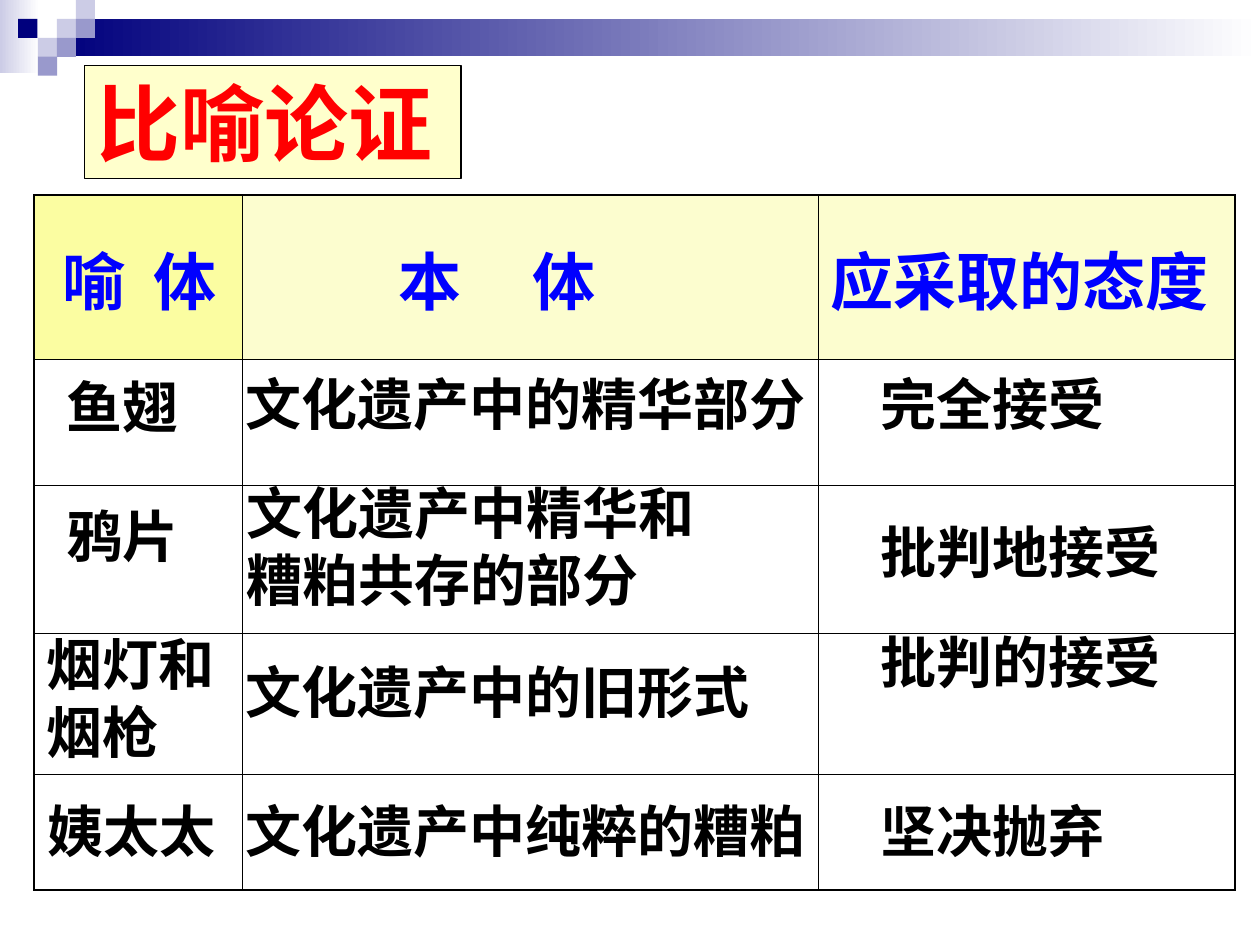
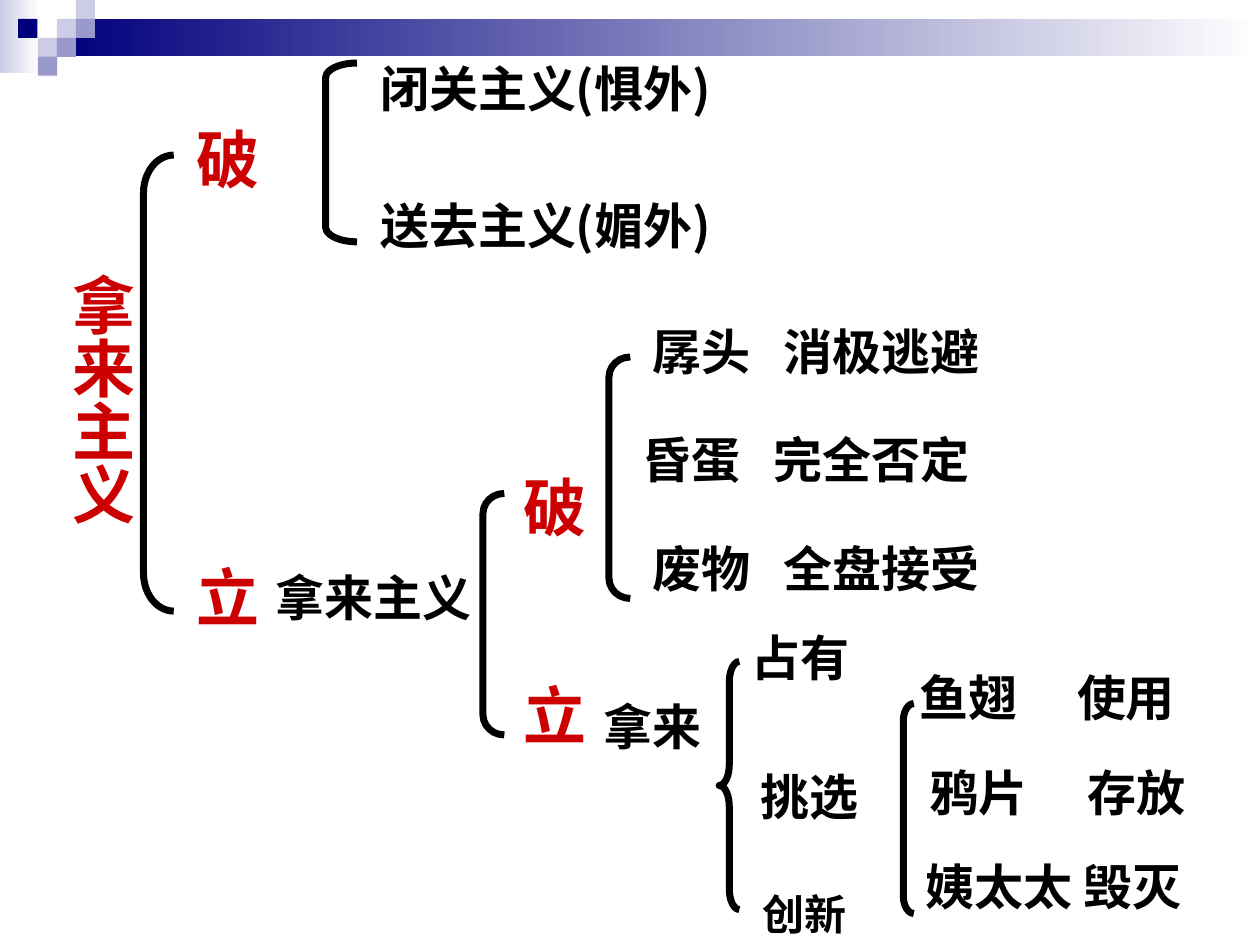
from dataclasses import dataclass

from lxml.etree import SubElement
from pptx import Presentation
from pptx.dml.color import RGBColor as Rgb
from pptx.enum.shapes import MSO_SHAPE as Shape
from pptx.enum.text import MSO_ANCHOR as Anchor
from pptx.enum.text import MSO_AUTO_SIZE as AutoSize
from pptx.enum.text import PP_ALIGN as Align
from pptx.oxml.ns import qn
from pptx.util import Pt


@dataclass(frozen=True)
class Theme:
    navy: str = "00007D"
    violet: str = "9999CC"
    lilac: str = "CCCCE6"
    white: str = "FFFFFF"
    black: str = "000000"
    red: str = "FF0000"
    crimson: str = "CC0000"
    blue: str = "0000FF"
    cream: str = "FFFFCC"
    yellow: str = "FBFDA1"
    title: int = 48
    heading: int = 36
    entry: int = 32
    branch: int = 28
    small: int = 24
    sans: str = "Arial"
    accent: str = "Karla"
    serif: str = "Times New Roman"
    chinese: str = "Noto Sans CJK SC"
    thin: float = 0.45
    thick: float = 1.08
    bracket: float = 4


theme = Theme()


def write(frame, text, size, color, face, tab=None):
    for index, line in enumerate(text.split("\n")):
        para = frame.add_paragraph() if index else frame.paragraphs[0]
        para.alignment = Align.LEFT
        if index:
            para.line_spacing = Pt(size * 1.2)
        if tab:
            tab_list = SubElement(para._p.get_or_add_pPr(), qn("a:tabLst"))
            SubElement(tab_list, qn("a:tab"), pos=str(Pt(tab)), algn="l")
        span = para.add_run()
        span.text = line
        span.font.size = Pt(size)
        span.font.bold = True
        span.font.name = face
        span.font.color.rgb = Rgb.from_string(color)
        SubElement(span.font._element, qn("a:ea"), typeface=theme.chinese)


def add_label(slide, place, text, size, color, face, tab=None):
    box = slide.shapes.add_textbox(*map(Pt, place))
    box.text_frame.word_wrap = True
    write(box.text_frame, text, size, color, face, tab)


deck = Presentation()
deck.slide_width, deck.slide_height = Pt(720), Pt(540)
layout = deck.slide_layouts[5]
metaphor_page = deck.slides.add_slide(layout)
outline_page = deck.slides.add_slide(layout)

bands = [
    (0, 0, 22.5, 42, theme.lilac, True),
    (32.5, 10.8, 687.5, 21.5, theme.navy, True),
]
squares = [
    (32.5, 10.8, theme.lilac),
    (43.3, 0, theme.lilac),
    (43.3, 10.8, theme.violet),
    (21.7, 21.6, theme.lilac),
    (10.4, 10.8, theme.navy),
    (32.5, 21.6, theme.violet),
    (21.7, 32.4, theme.violet),
]
bands += [(left, top, 10.9, 10.9, color, False) for left, top, color in squares]
for number, (left, top, width, height, color, fades) in enumerate(bands):
    band = metaphor_page.shapes.add_shape(Shape.RECTANGLE, Pt(left), Pt(top), Pt(width), Pt(height))
    band.shadow.inherit = False
    band.line.fill.background()
    if fades:
        band.fill.gradient()
        band.fill.gradient_angle = 0
        for stop, shade in zip(band.fill.gradient_stops, (color, theme.white)):
            stop.color.rgb = Rgb.from_string(shade)
    else:
        band.fill.solid()
        band.fill.fore_color.rgb = Rgb.from_string(color)
    band.element.nvSpPr.cNvPr.set("id", str(100 + number))
    layout.shapes.element.append(band.element)

titles = [
    (metaphor_page, (48.2, 37.4, 215.3, 64.8), "比喻论证", theme.title, theme.red, theme.sans),
    (outline_page, (26, 145.4, 57.6, 166.3), "拿来主义", theme.heading, theme.crimson, theme.accent),
]
for page, place, text, size, color, face in titles:
    title = page.shapes.title
    title.left, title.top, title.width, title.height = map(Pt, place)
    title.text_frame.auto_size = AutoSize.NONE
    title.text_frame.vertical_anchor = Anchor.TOP
    write(title.text_frame, text, size, color, face)

title_box = metaphor_page.shapes.title
title_box.fill.solid()
title_box.fill.fore_color.rgb = Rgb.from_string(theme.cream)
title_box.line.color.rgb = Rgb.from_string(theme.black)
title_box.line.width = Pt(0.75)

vertical_frame = outline_page.shapes.title.text_frame
vertical_frame._txBody.bodyPr.set("vert", "eaVert")
vertical_frame.margin_left = vertical_frame.margin_right = Pt(3.6)
vertical_frame.margin_top, vertical_frame.margin_bottom = Pt(11.2), Pt(3.6)

column_widths = [119, 329, 238.3]
row_heights = [94, 71.6, 84.5, 80.7, 66.2]
headers = [("喻\t体", 16, 52), ("本\t体", 89, 77), ("应采取的态度", 7.2, None)]
table = metaphor_page.shapes.add_table(
    len(row_heights), len(column_widths), Pt(19.6), Pt(111.6),
    Pt(sum(column_widths)), Pt(sum(row_heights))).table
table.first_row = table.horz_banding = False
for column, width in zip(table.columns, column_widths):
    column.width = Pt(width)
for row, height in zip(table.rows, row_heights):
    row.height = Pt(height)

last_row, last_column = len(row_heights) - 1, len(column_widths) - 1
for row_index in range(last_row + 1):
    for column_index in range(last_column + 1):
        cell = table.cell(row_index, column_index)
        edges = {
            "a:lnL": column_index == 0,
            "a:lnR": column_index == last_column,
            "a:lnT": row_index == 0,
            "a:lnB": row_index == last_row,
        }
        for tag, outer in edges.items():
            weight = theme.thick if outer else theme.thin
            border = SubElement(cell._tc.get_or_add_tcPr(), qn(tag), w=str(Pt(weight)))
            paint = SubElement(border, qn("a:solidFill"))
            SubElement(paint, qn("a:srgbClr"), val=theme.black)
        if row_index:
            cell.fill.background()
            continue
        cell.fill.solid()
        cell.fill.fore_color.rgb = Rgb.from_string(theme.yellow)
        if column_index:
            tint = cell._tc.tcPr.find(qn("a:solidFill")).find(qn("a:srgbClr"))
            SubElement(tint, qn("a:alpha"), val="50000")
        text, margin, tab = headers[column_index]
        cell.vertical_anchor = Anchor.MIDDLE
        cell.margin_left = Pt(margin)
        write(cell.text_frame, text, theme.heading, theme.blue, theme.sans, tab)

entries = [
    (133.2, 207.4, 351, "文化遗产中的精华部分"),
    (133.6, 270, 290, "文化遗产中精华和\n糟粕共存的部分"),
    (133.2, 372.2, 329, "文化遗产中的旧形式"),
    (133.2, 451.4, 363, "文化遗产中纯粹的糟粕"),
    (496, 207.4, 164, "完全接受"),
    (496, 292.3, 187, "批判地接受"),
    (496, 355, 199, "批判的接受"),
    (496, 451.4, 176, "坚决抛弃"),
    (31, 209.5, 113, "鱼翅"),
    (31, 283, 113, "鸦片"),
    (19.5, 356.4, 176, "烟灯和\n烟枪"),
    (20.2, 451.4, 115, "姨太太"),
]
for left, top, width, text in entries:
    height = 84.2 if "\n" in text else 46
    add_label(metaphor_page, (left, top, width, height), text, theme.entry, theme.black, theme.sans)

brackets = [
    (Shape.LEFT_BRACKET, 82, 88.6, 17.3, 260.6),
    (Shape.LEFT_BRACKET, 186, 36, 18, 102.2),
    (Shape.LEFT_BRACKET, 276, 282, 12.2, 138),
    (Shape.LEFT_BRACKET, 348, 204, 12.2, 138),
    (Shape.LEFT_BRACKET, 516.2, 402, 6, 120),
    (Shape.LEFT_BRACE, 411, 378, 11.5, 141.8),
]
for kind, left, top, width, height in brackets:
    bracket = outline_page.shapes.add_shape(kind, Pt(left), Pt(top), Pt(width), Pt(height))
    bracket.adjustments[0] = height / 12 / width
    bracket.shadow.inherit = False
    bracket.fill.background()
    bracket.line.color.rgb = Rgb.from_string(theme.black)
    bracket.line.width = Pt(theme.bracket)

stances = [(105, 65.5, "破"), (105, 315.4, "立"), (292.3, 264.2, "破"), (292.3, 383, "立")]
for left, top, text in stances:
    add_label(outline_page, (left, top, 66, 50.4), text, theme.heading, theme.crimson, theme.accent)

branches = [
    (210.2, 30.2, 234, "闭关主义(惧外)", theme.chinese, None),
    (210.2, 108, 240, "送去主义(媚外)", theme.chinese, None),
    (150.5, 321, 138, "拿来主义", theme.serif, None),
    (365.8, 180, 228, "孱头\t消极逃避", theme.chinese, 75),
    (360, 242, 228, "昏蛋\t完全否定", theme.chinese, 75),
    (365.8, 304, 228, "废物\t全盘接受", theme.chinese, 75),
    (337.7, 394.6, 90, "拿来", theme.serif, None),
    (422.6, 355, 86, "占有", theme.serif, None),
    (427.7, 434.2, 98, "挑选", theme.serif, None),
    (518.4, 378, 177, "鱼翅\t使用", theme.chinese, 90),
    (524.2, 432, 195.8, "鸦片\t存放", theme.chinese, 90),
    (522, 486, 198, "姨太太 毁灭", theme.chinese, None),
]
for left, top, width, text, face, tab in branches:
    add_label(outline_page, (left, top, width, 41), text, theme.branch, theme.black, face, tab)
add_label(outline_page, (428.4, 504, 70, 36), "创新", theme.small, theme.black, theme.sans)

deck.save("out.pptx")
